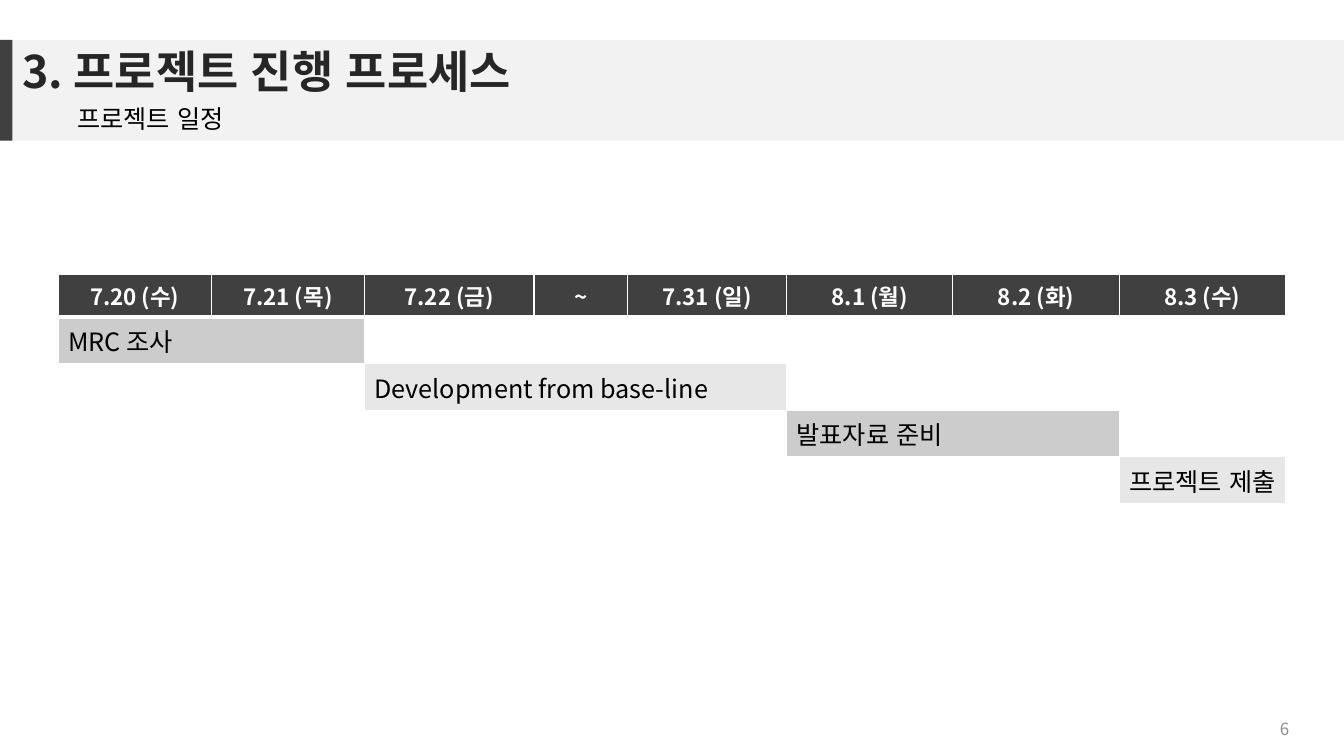
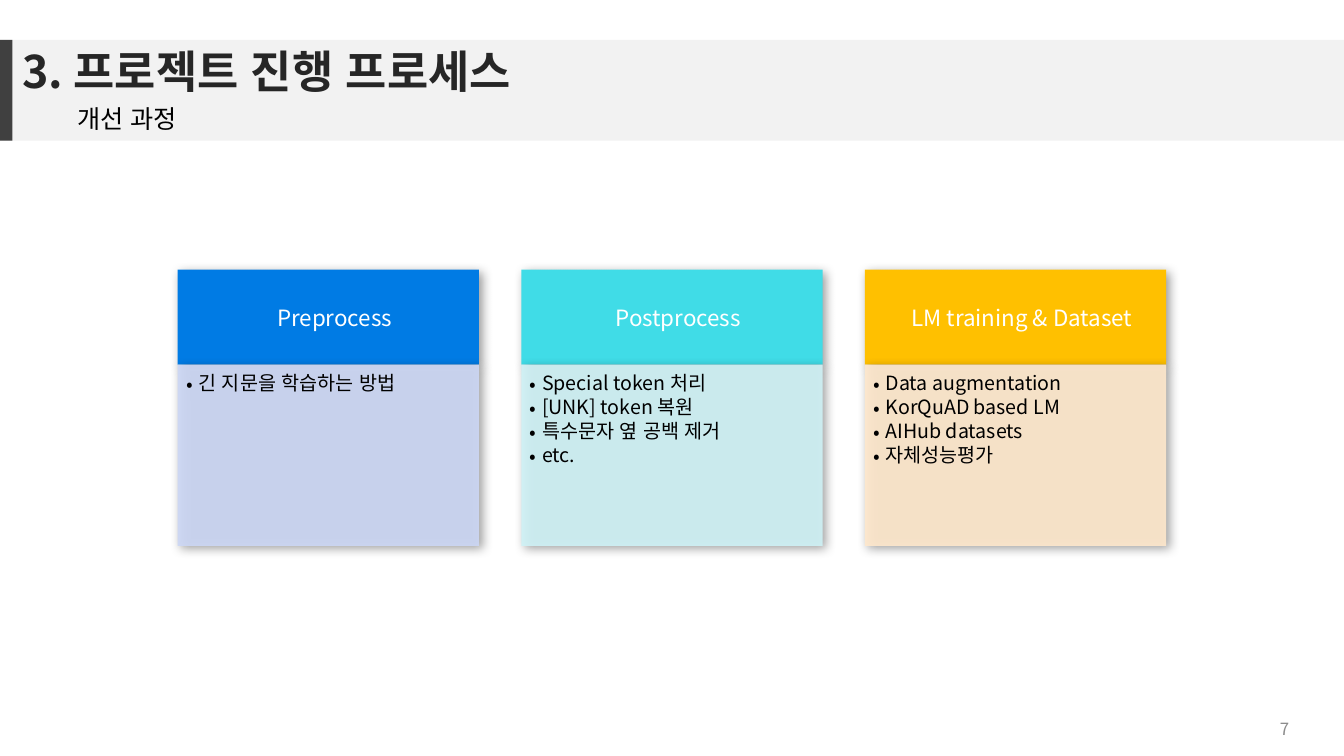
from pptx import Presentation
from pptx import util as u
from pptx.dml.color import RGBColor
from pptx.enum import lang as languages
from pptx.enum import shapes as shape_kinds
from pptx.enum import text as text_kinds
from pptx.oxml import parse_xml
from pptx.oxml import xmlchemy as xml
from pptx.oxml.ns import nsdecls, qn

Pt = u.Pt
ALIGN = text_kinds.PP_ALIGN
ANCHOR = text_kinds.MSO_ANCHOR

FONT = "Noto Sans CJK KR"
WHITE = RGBColor(0xFF, 0xFF, 0xFF)
BLACK = RGBColor(0, 0, 0)
INK = RGBColor(0x26, 0x26, 0x26)
DARK = RGBColor(0x40, 0x40, 0x40)
BAND = RGBColor(0xF2, 0xF2, 0xF2)
PAGE_GRAY = RGBColor(0x8C, 0x8C, 0x8C)
BAR_MID = RGBColor(0xCC, 0xCC, 0xCC)
BAR_LIGHT = RGBColor(0xE7, 0xE7, 0xE7)
BLUE = RGBColor(0x00, 0x7B, 0xE4)
PALE_BLUE = RGBColor(0xCC, 0xD7, 0xF5)
CYAN = RGBColor(0x40, 0xDC, 0xE7)
PALE_CYAN = RGBColor(0xCF, 0xF2, 0xF6)
AMBER = RGBColor(0xFF, 0xC0, 0x00)
PALE_AMBER = RGBColor(0xFF, 0xE8, 0xCC)

SLIDE_WIDTH, SLIDE_HEIGHT = 960, 540
BAND_TOP, BAND_HEIGHT = 28.5, 72
ACCENT_WIDTH = 8.9
TITLE_BOX = (8.75, 28.3, 919.5, 49)
SUBTITLE_BOX = (48, 71.5, 863.5, 29.5)
PAGE_BOX = (712, 511.3, 216, 18)
TITLE = "3. 프로젝트 진행 프로세스"

TABLE_LEFT, TABLE_TOP, ROW_HEIGHT = 41.5, 196.2, 29.3
COLUMN_WIDTHS = [109.4, 109.4, 109.4, 11.8, 66.6, 31.7, 82.1, 118.8, 118.8, 118.8]
DAYS = [
    ("7.20 (수)", 0, 0),
    ("7.21 (목)", 1, 1),
    ("7.22 (금)", 2, 3),
    ("~", 4, 4),
    ("7.31 (일)", 5, 6),
    ("8.1 (월)", 7, 7),
    ("8.2 (화)", 8, 8),
    ("8.3 (수)", 9, 9),
]
TASKS = [
    ("MRC 조사", 0, 1, BAR_MID, [(2, 3), (5, 6), (7, 8)]),
    ("Development from base-line", 2, 6, BAR_LIGHT, [(7, 8)]),
    ("발표자료 준비", 7, 8, BAR_MID, [(3, 5)]),
    ("프로젝트 제출", 9, 9, BAR_LIGHT, [(3, 5), (7, 8)]),
]

CARD_LEFT, CARD_TOP, CARD_WIDTH, CARD_PITCH = 127, 192.5, 215.2, 245.4
HEAD_HEIGHT, BODY_HEIGHT = 68, 129.5
CARDS = [
    ("Preprocess", BLUE, PALE_BLUE, ["긴 지문을 학습하는 방법"]),
    ("Postprocess", CYAN, PALE_CYAN,
     ["Special token 처리", "[UNK] token 복원", "특수문자 옆 공백 제거", "etc."]),
    ("LM training & Dataset", AMBER, PALE_AMBER,
     ["Data augmentation", "KorQuAD based LM", "AIHub datasets", "자체성능평가"]),
]


def write(paragraph, text, size=18, color=BLACK, bold=False, align=ALIGN.LEFT, spacing=1.0,
          after=0):
    paragraph.alignment = align
    paragraph.line_spacing = spacing
    paragraph.space_before = Pt(0)
    paragraph.space_after = Pt(after)
    run = paragraph.add_run()
    run.text = text
    font = run.font
    font.size = Pt(size)
    font.bold = bold
    font.color.rgb = color
    font.name = FONT
    font.language_id = languages.MSO_LANGUAGE_ID.KOREAN
    east_asian = xml.OxmlElement("a:ea")
    east_asian.set("typeface", FONT)
    font._element.find(qn("a:latin")).addnext(east_asian)
    return run


def set_bullet(paragraph, indent=0):
    properties = paragraph._p.get_or_add_pPr()
    properties.set("marL", str(Pt(indent)))
    properties.set("indent", str(-Pt(indent)))
    if not indent:
        properties.append(xml.OxmlElement("a:buNone"))
        return
    for tag, name, value in (("a:buFont", "typeface", FONT), ("a:buChar", "char", "•")):
        element = xml.OxmlElement(tag)
        element.set(name, value)
        properties.append(element)


def set_frame(frame, anchor=ANCHOR.MIDDLE, insets=(7.2, 3.6, 7.2, 3.6)):
    frame.word_wrap = True
    frame.auto_size = text_kinds.MSO_AUTO_SIZE.NONE
    frame.vertical_anchor = anchor
    frame.margin_left, frame.margin_top, frame.margin_right, frame.margin_bottom = map(Pt, insets)


def add_rectangle(slide, left, top, width, height, color):
    shape = slide.shapes.add_shape(
        shape_kinds.MSO_SHAPE.RECTANGLE, Pt(left), Pt(top), Pt(width), Pt(height))
    shape.shadow.inherit = False
    shape.fill.solid()
    shape.fill.fore_color.rgb = color
    shape.line.fill.background()
    return shape


def add_shadow(shape):
    shape._element.spPr.find(qn("a:effectLst")).append(parse_xml(
        f'<a:outerShdw {nsdecls("a")} blurRad="{Pt(8)}" dist="{Pt(3)}" dir="2700000" '
        'algn="tl" rotWithShape="0"><a:srgbClr val="000000"><a:alpha val="40000"/>'
        '</a:srgbClr></a:outerShdw>'))


def set_opacity(shape, percent):
    alpha = xml.OxmlElement("a:alpha")
    alpha.set("val", str(percent * 1000))
    shape._element.spPr.find(qn("a:solidFill"))[0].append(alpha)


def place(shape, box):
    shape.left, shape.top, shape.width, shape.height = map(Pt, box)


def move_bands_to_layout(slide, layout):
    bands = [(SLIDE_WIDTH, BAND), (ACCENT_WIDTH, DARK)]
    for index, (width, color) in enumerate(bands):
        band = add_rectangle(slide, 0, BAND_TOP, width, BAND_HEIGHT, color)
        band._element.nvSpPr.cNvPr.set("id", str(101 + index))
        layout.shapes.element.insert(2 + index, band._element)


def prepare_layout(layout):
    for placeholder in layout.placeholders:
        index = placeholder.placeholder_format.idx
        if index in (0, 1):
            place(placeholder, (TITLE_BOX, SUBTITLE_BOX)[index])


def add_page_number(slide, number):
    box = slide.shapes.add_textbox(*map(Pt, PAGE_BOX))
    set_frame(box.text_frame)
    run = write(box.text_frame.paragraphs[0], str(number), size=12, color=PAGE_GRAY,
                align=ALIGN.RIGHT)
    field = xml.OxmlElement("a:fld")
    field.set("id", "{B6F15528-21DE-4FAA-801E-634DDDAF4B2B}")
    field.set("type", "slidenum")
    run._r.addprevious(field)
    field.extend(list(run._r))
    run._r.getparent().remove(run._r)


def add_slide(presentation, layout, subtitle, number):
    slide = presentation.slides.add_slide(layout)
    title, body = slide.shapes.title, slide.placeholders[1]
    set_frame(title.text_frame)
    write(title.text_frame.paragraphs[0], TITLE, size=32, color=INK, bold=True, spacing=0.9)
    set_frame(body.text_frame)
    paragraph = body.text_frame.paragraphs[0]
    set_bullet(paragraph)
    write(paragraph, subtitle, spacing=0.9)
    add_page_number(slide, number)
    return slide


def set_borders(cell, bottom=1):
    properties = cell._tc.get_or_add_tcPr()
    for index, (side, width) in enumerate([("L", 1), ("R", 1), ("T", 1), ("B", bottom)]):
        properties.insert(index, parse_xml(
            f'<a:ln{side} {nsdecls("a")} w="{Pt(width)}"><a:solidFill>'
            f'<a:srgbClr val="{WHITE}"/></a:solidFill></a:ln{side}>'))


def fill_cell(cell, color, bottom=1):
    cell.fill.solid()
    cell.fill.fore_color.rgb = color
    cell.vertical_anchor = ANCHOR.MIDDLE
    set_borders(cell, bottom)


def merge_cells(table, row, first, last):
    if last > first:
        table.cell(row, first).merge(table.cell(row, last))


def add_schedule(slide):
    row_count = len(TASKS) + 1
    table = slide.shapes.add_table(
        row_count, len(COLUMN_WIDTHS), Pt(TABLE_LEFT), Pt(TABLE_TOP),
        Pt(sum(COLUMN_WIDTHS)), Pt(ROW_HEIGHT * row_count)).table
    table.horz_banding = False
    for row in table.rows:
        row.height = Pt(ROW_HEIGHT)
    for column, width in zip(table.columns, COLUMN_WIDTHS):
        column.width = Pt(width)
    for day, first, last in DAYS:
        merge_cells(table, 0, first, last)
        cell = table.cell(0, first)
        fill_cell(cell, DARK, bottom=3)
        write(cell.text_frame.paragraphs[0], day, size=16, color=WHITE, bold=True,
              align=ALIGN.CENTER)
    for row, (task, first, last, color, empty_spans) in enumerate(TASKS, start=1):
        for span in [(first, last), *empty_spans]:
            merge_cells(table, row, *span)
        for column in range(len(COLUMN_WIDTHS)):
            cell = table.cell(row, column)
            if not cell.is_spanned:
                fill_cell(cell, color if column == first else WHITE)
        write(table.cell(row, first).text_frame.paragraphs[0], task)


def add_card(slide, left, heading, head_color, body_color, items):
    head = add_rectangle(slide, left, CARD_TOP, CARD_WIDTH, HEAD_HEIGHT, head_color)
    add_shadow(head)
    set_frame(head.text_frame, insets=(9, 0, 0, 0))
    write(head.text_frame.paragraphs[0], heading, size=16, color=WHITE, align=ALIGN.CENTER)
    body = add_rectangle(slide, left, CARD_TOP + HEAD_HEIGHT, CARD_WIDTH, BODY_HEIGHT, body_color)
    add_shadow(body)
    set_opacity(body, 90)
    frame = body.text_frame
    set_frame(frame, anchor=ANCHOR.TOP, insets=(6, 6, 8, 9))
    for index, item in enumerate(items):
        paragraph = frame.add_paragraph() if index else frame.paragraphs[0]
        set_bullet(paragraph, indent=8.8)
        write(paragraph, item, size=14, spacing=0.9, after=2.1)


def main():
    presentation = Presentation()
    presentation.slide_width = Pt(SLIDE_WIDTH)
    presentation.slide_height = Pt(SLIDE_HEIGHT)
    layout = presentation.slide_layouts[1]
    prepare_layout(layout)

    schedule_slide = add_slide(presentation, layout, "프로젝트 일정", 6)
    move_bands_to_layout(schedule_slide, layout)
    add_schedule(schedule_slide)

    process_slide = add_slide(presentation, layout, "개선 과정", 7)
    for index, card in enumerate(CARDS):
        add_card(process_slide, CARD_LEFT + index * CARD_PITCH, *card)

    presentation.element.set("firstSlideNum", "6")
    presentation.save("out.pptx")


if __name__ == "__main__":
    main()
